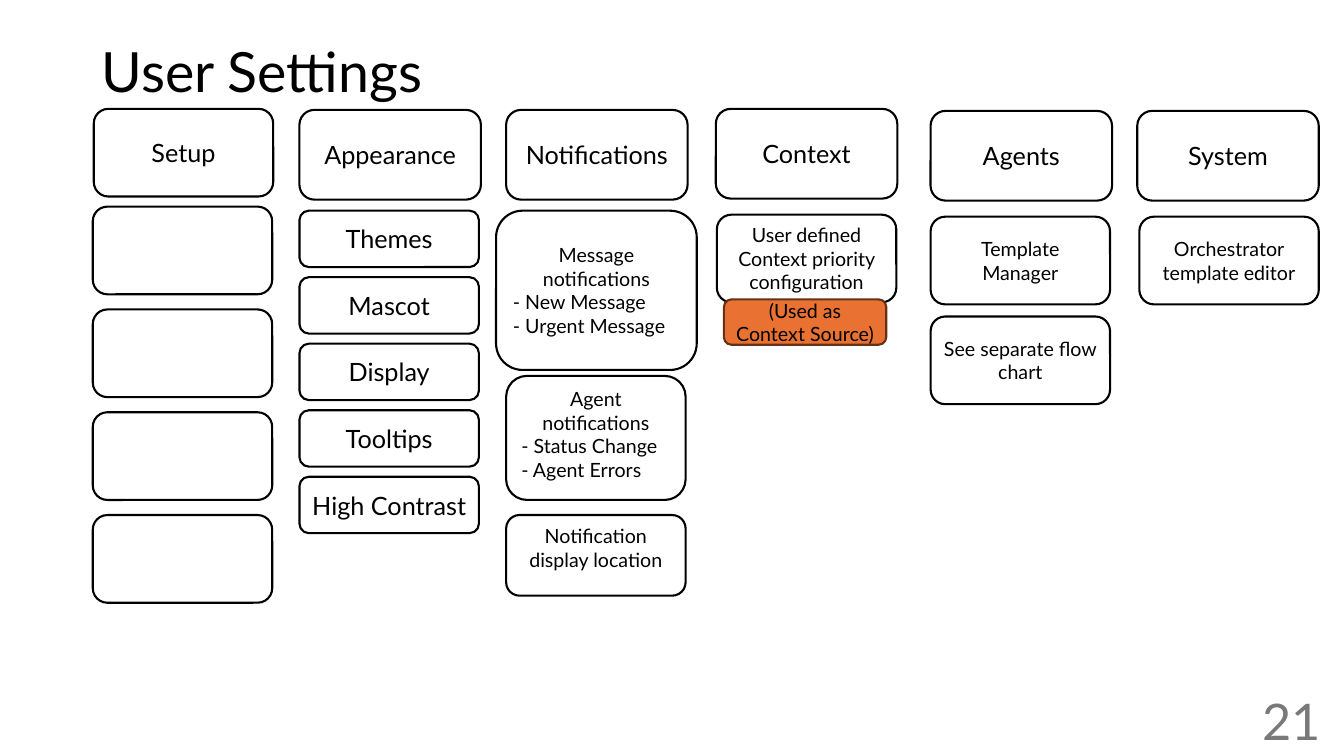
from dataclasses import dataclass

from pptx import Presentation
from pptx import util as u
from pptx.dml.color import RGBColor
from pptx.enum import shapes, text


@dataclass(frozen=True)
class Theme:
    face: str = "Lato"
    ink: str = "000000"
    paper: str = "FFFFFF"
    accent: str = "E97132"
    edge: str = "663216"
    muted: str = "797979"
    title: float = 39.6
    page: float = 36
    large: float = 18
    small: float = 14
    line: float = 1.5


THEME = Theme()
ALIGN = text.PP_ALIGN
ANCHOR = text.MSO_ANCHOR
HEAD = (1.8, 0.89)
CARD = (1.78, 0.87)
ROW = (1.78, 0.56)


def rgb(code):
    return RGBColor.from_string(code)


def style(item, values):
    for name, value in values.items():
        setattr(item, name, value)


def write(frame, lines, size, color=THEME.ink, anchor=ANCHOR.MIDDLE, align=ALIGN.CENTER):
    """Fill a text frame; lines that start with a dash are set left."""
    style(frame, dict(word_wrap=True, auto_size=text.MSO_AUTO_SIZE.NONE,
                      vertical_anchor=anchor, margin_left=u.Inches(0.09),
                      margin_right=u.Inches(0.09)))
    for i, line in enumerate(lines):
        para = frame.add_paragraph() if i else frame.paragraphs[0]
        para.text = line
        para.alignment = ALIGN.LEFT if line.startswith("- ") else align
        style(para.font, dict(name=THEME.face, size=u.Pt(size)))
        para.font.color.rgb = rgb(color)


def card(slide, box, lines=(), size=THEME.small, anchor=ANCHOR.MIDDLE,
         fill=THEME.paper, edge=THEME.ink):
    shape = slide.shapes.add_shape(shapes.MSO_SHAPE.ROUNDED_RECTANGLE, *map(u.Inches, box))
    shape.shadow.inherit = False
    shape.fill.solid()
    shape.fill.fore_color.rgb = rgb(fill)
    shape.line.color.rgb = rgb(edge)
    shape.line.width = u.Pt(THEME.line)
    if lines:
        write(shape.text_frame, lines, size, anchor=anchor)


def head(slide, left, top, label, dims=HEAD):
    card(slide, (left, top, *dims), [label], THEME.large)


def stack(slide, left, top, step, labels, dims=CARD, size=THEME.small):
    """Place equal cards down a column; an empty label leaves a blank card."""
    for i, label in enumerate(labels):
        card(slide, (left, top + i * step, *dims), [label] if label else (), size)


def setup(slide, left, top):
    head(slide, left + 0.01, top, "Setup", CARD)
    stack(slide, left, top + 0.97, 1.02, [""] * 4)


def looks(slide, left, top):
    head(slide, left, top, "Appearance")
    names = ["Themes", "Mascot", "Display", "Tooltips", "High Contrast"]
    stack(slide, left, top + 1, 0.66, names, ROW, THEME.large)


def notices(slide, left, top):
    head(slide, left, top, "Notifications")
    card(slide, (left - 0.1, top + 1, 1.99, 1.58),
         ["Message notifications", "- New Message", "- Urgent Message"])
    card(slide, (left, top + 2.64, 1.78, 1.23),
         ["Agent notifications", "- Status Change", "- Agent Errors"], anchor=ANCHOR.TOP)
    card(slide, (left, top + 4.02, 1.78, 0.8),
         ["Notification display location"], anchor=ANCHOR.TOP)


def context(slide, left, top):
    head(slide, left, top, "Context")
    stack(slide, left + 0.01, top + 1.05, 0, ["User defined Context priority configuration"])
    card(slide, (left + 0.08, top + 1.89, 1.61, 0.45), ["(Used as Context Source)"],
         fill=THEME.accent, edge=THEME.edge)


def agents(slide, left, top):
    head(slide, left, top, "Agents")
    stack(slide, left, top + 1.05, 0.99, ["Template Manager", "See separate flow chart"])


def system(slide, left, top):
    head(slide, left, top, "System")
    stack(slide, left + 0.02, top + 1.05, 0, ["Orchestrator template editor"])


def title(slide, box, label):
    shape = slide.shapes.title
    style(shape, dict(zip(("left", "top", "width", "height"), map(u.Inches, box))))
    write(shape.text_frame, [label], THEME.title, align=ALIGN.LEFT)
    shape.text_frame.paragraphs[0].line_spacing = 0.9


def page(slide, box, label):
    shape = slide.shapes.add_textbox(*map(u.Inches, box))
    write(shape.text_frame, [label], THEME.page, THEME.muted, align=ALIGN.RIGHT)


def main():
    deck = Presentation()
    style(deck, dict(slide_width=u.Inches(13.33), slide_height=u.Inches(7.5)))
    slide = deck.slides.add_slide(deck.slide_layouts[5])
    title(slide, (0.92, 0.4, 11.5, 0.68), "User Settings")
    setup(slide, 0.92, 1.08)
    looks(slide, 2.97, 1.09)
    notices(slide, 5.02, 1.09)
    context(slide, 7.1, 1.08)
    agents(slide, 9.23, 1.1)
    system(slide, 11.28, 1.1)
    page(slide, (10.19, 6.95, 3, 0.4), "21")
    deck.save("out.pptx")


if __name__ == "__main__":
    main()
